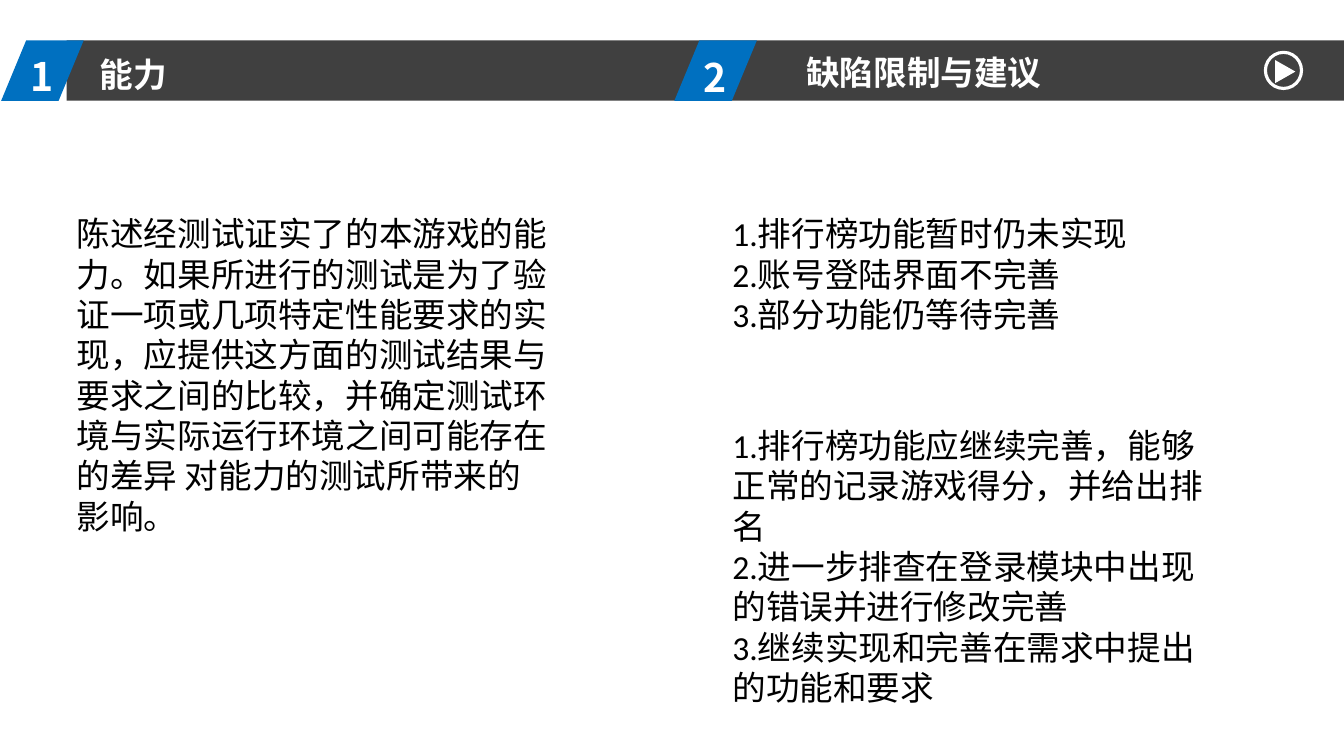
from lxml import etree
from pptx import Presentation
from pptx.dml.color import RGBColor
from pptx.enum.shapes import MSO_SHAPE
from pptx.enum.text import MSO_ANCHOR, MSO_AUTO_SIZE, PP_ALIGN
from pptx.oxml.ns import qn
from pptx.util import Cm, Pt

RECT, SLANT = MSO_SHAPE.RECTANGLE, MSO_SHAPE.PARALLELOGRAM
OVAL, TRIANGLE = MSO_SHAPE.OVAL, MSO_SHAPE.ISOSCELES_TRIANGLE
TOP, LEFT, NO_FIT = MSO_ANCHOR.TOP, PP_ALIGN.LEFT, MSO_AUTO_SIZE.NONE
COLORS = {"bar": "404040", "accent": "0070C0", "white": "FFFFFF", "text": "000000"}
CJK = "Noto Sans CJK SC"


def add_shape(shapes, kind, box, fill=None):
    sp = shapes.add_shape(kind, *map(Cm, box))
    sp.shadow.inherit = False
    sp.line.fill.background()
    if fill:
        sp.fill.solid()
        sp.fill.fore_color.rgb = RGBColor.from_string(COLORS[fill])
    else:
        sp.fill.background()
    return sp


def write(sp, box, text, size, font, color, bold):
    sp.left, sp.top, sp.width, sp.height = map(Cm, box)
    tf = sp.text_frame
    tf.text = text
    tf.word_wrap = True
    tf.auto_size = NO_FIT
    tf.vertical_anchor = TOP
    for p in tf.paragraphs:
        pPr = p._p.get_or_add_pPr()
        pPr.set("marL", "0")
        pPr.set("indent", "0")
        etree.SubElement(pPr, qn("a:buNone"))
        p.alignment = LEFT
        p.space_before = Pt(0)
        p.line_spacing = Pt(size * 1.2)
        for r in p.runs:
            r.font.size = Pt(size)
            r.font.bold = bold
            r.font.name = font
            r.font.color.rgb = RGBColor.from_string(COLORS[color])
            etree.SubElement(r._r.get_or_add_rPr(), qn("a:ea"), typeface=CJK)


prs = Presentation()
prs.slide_width, prs.slide_height = Cm(33.88), Cm(19.05)
s = prs.slides.add_slide(prs.slide_layouts[4])
holders = {ph.placeholder_format.idx: ph for ph in s.placeholders}

add_shape(s.shapes, RECT, (1.68, 1.02, 32.2, 1.52), "bar")
for number, left, top in (("1", 0.03, 1.19), ("2", 17, 1.22)):
    tag = add_shape(s.shapes, SLANT, (left, 1.02, 2.08, 1.52), "accent")
    tag.adjustments[0] = 0.415
    box = (left + 0.48, top, 1.75, 1.45)
    label = s.shapes.add_textbox(*map(Cm, box))
    write(label, box, number, 28, CJK, "white", True)

icon = s.shapes.add_group_shape()
ring = add_shape(icon.shapes, OVAL, (31.9, 1.32, 0.91, 0.91))
ring.line.color.rgb = RGBColor.from_string(COLORS["white"])
ring.line.width = Pt(2.25)
play = add_shape(icon.shapes, TRIANGLE, (32.11, 1.55, 0.58, 0.51), "white")
play.rotation = 90

headings = [
    (0, (2.26, 1.23, 6.96, 1.27), "能力"),
    (1, (20.07, 1.18, 6.96, 1.27), "缺陷限制与建议"),
]
bodies = [
    (2, (1.68, 5.25, 12.4, 8.38),
     "陈述经测试证实了的本游戏的能力。如果所进行的测试是为了验证一项或几项特定性能要求的实现，"
     "应提供这方面的测试结果与要求之间的比较，并确定测试环境与实际运行环境之间可能存在的差异 "
     "对能力的测试所带来的影响。"),
    (4, (18.21, 5.25, 12.4, 3.3),
     "1.排行榜功能暂时仍未实现\n2.账号登陆界面不完善\n3.部分功能仍等待完善"),
    (3, (18.21, 10.58, 12.4, 7.37),
     "1.排行榜功能应继续完善，能够正常的记录游戏得分，并给出排名\n"
     "2.进一步排查在登录模块中出现的错误并进行修改完善\n"
     "3.继续实现和完善在需求中提出的功能和要求"),
]
for items, font, color, bold in ((headings, CJK, "white", True), (bodies, "Calibri", "text", False)):
    for idx, box, text in items:
        ph = holders[idx]
        write(ph, box, text, 24, font, color, bold)
        s.shapes.element.append(ph.element)

prs.save("out.pptx")
